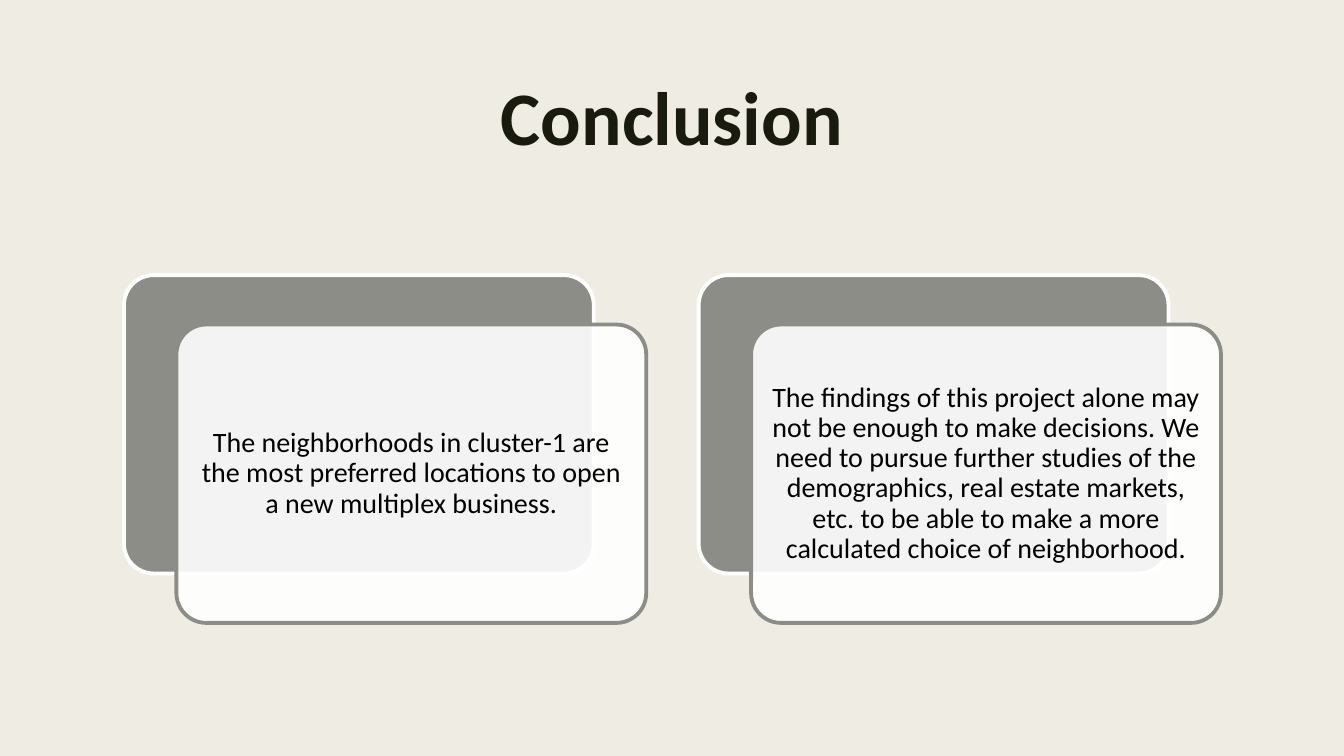
from dataclasses import dataclass

from lxml import etree
from pptx import Presentation
from pptx import util as u
from pptx.dml.color import RGBColor
from pptx.enum import shapes, text
from pptx.oxml.ns import qn


@dataclass
class Theme:
    font: str = "Calibri"
    background: str = "EFEDE3"
    title: str = "191B0E"
    body: str = "000000"
    gray: str = "8C8D86"
    white: str = "FFFFFF"
    title_size: int = 54
    body_size: int = 20
    border: float = 2.75


theme = Theme()


def add_panel(slide, left, top, fill, line):
    panel = slide.shapes.add_shape(
        shapes.MSO_SHAPE.ROUNDED_RECTANGLE,
        u.Inches(left), u.Inches(top), u.Inches(4.66), u.Inches(2.96))
    panel.adjustments[0] = 0.1
    panel.shadow.inherit = False
    panel.fill.solid()
    panel.fill.fore_color.rgb = RGBColor.from_string(fill)
    panel.line.color.rgb = RGBColor.from_string(line)
    panel.line.width = u.Pt(theme.border)
    return panel


def write(frame, words, size, color, spacing, bold=False):
    frame.word_wrap = True
    paragraph = frame.paragraphs[0]
    paragraph.alignment = text.PP_ALIGN.CENTER
    paragraph.line_spacing = spacing
    run = paragraph.add_run()
    run.text = words
    run.font.name = theme.font
    run.font.size = u.Pt(size)
    run.font.bold = bold
    run.font.color.rgb = RGBColor.from_string(color)


presentation = Presentation()
presentation.slide_width = u.Inches(13.33)
presentation.slide_height = u.Inches(7.5)
slide = presentation.slides.add_slide(presentation.slide_layouts[5])
slide.background.fill.solid()
slide.background.fill.fore_color.rgb = RGBColor.from_string(theme.background)

title = slide.shapes.title
title.left, title.top = u.Inches(0.7), u.Inches(0.75)
title.width, title.height = u.Inches(11.93), u.Inches(1.62)
title.text_frame.vertical_anchor = text.MSO_ANCHOR.TOP
title.text_frame.auto_size = text.MSO_AUTO_SIZE.NONE
write(title.text_frame, "Conclusion", theme.title_size, theme.title, 0.89, bold=True)

conclusions = [
    "The neighborhoods in cluster-1 are the most preferred locations to open "
    "a new multiplex business.",
    "The findings of this project alone may not be enough to make decisions. "
    "We need to pursue further studies of the demographics, real estate markets, "
    "etc. to be able to make a more calculated choice of neighborhood.",
]
left, top, pitch = 1.23, 2.73, 5.7
offset_x, offset_y = 0.52, 0.49

for index, conclusion in enumerate(conclusions):
    card_left = left + index * pitch
    add_panel(slide, card_left, top, theme.gray, theme.white)
    card = add_panel(slide, card_left + offset_x, top + offset_y, theme.white, theme.gray)
    fill_color = card.fill._xPr.find(qn("a:solidFill"))[0]
    etree.SubElement(fill_color, qn("a:alpha"), val="90000")
    frame = card.text_frame
    frame.vertical_anchor = text.MSO_ANCHOR.MIDDLE
    frame.margin_left = frame.margin_right = u.Inches(0.08)
    frame.margin_top = frame.margin_bottom = u.Inches(0.08)
    write(frame, conclusion, theme.body_size, theme.body, 0.9)

presentation.save("out.pptx")
